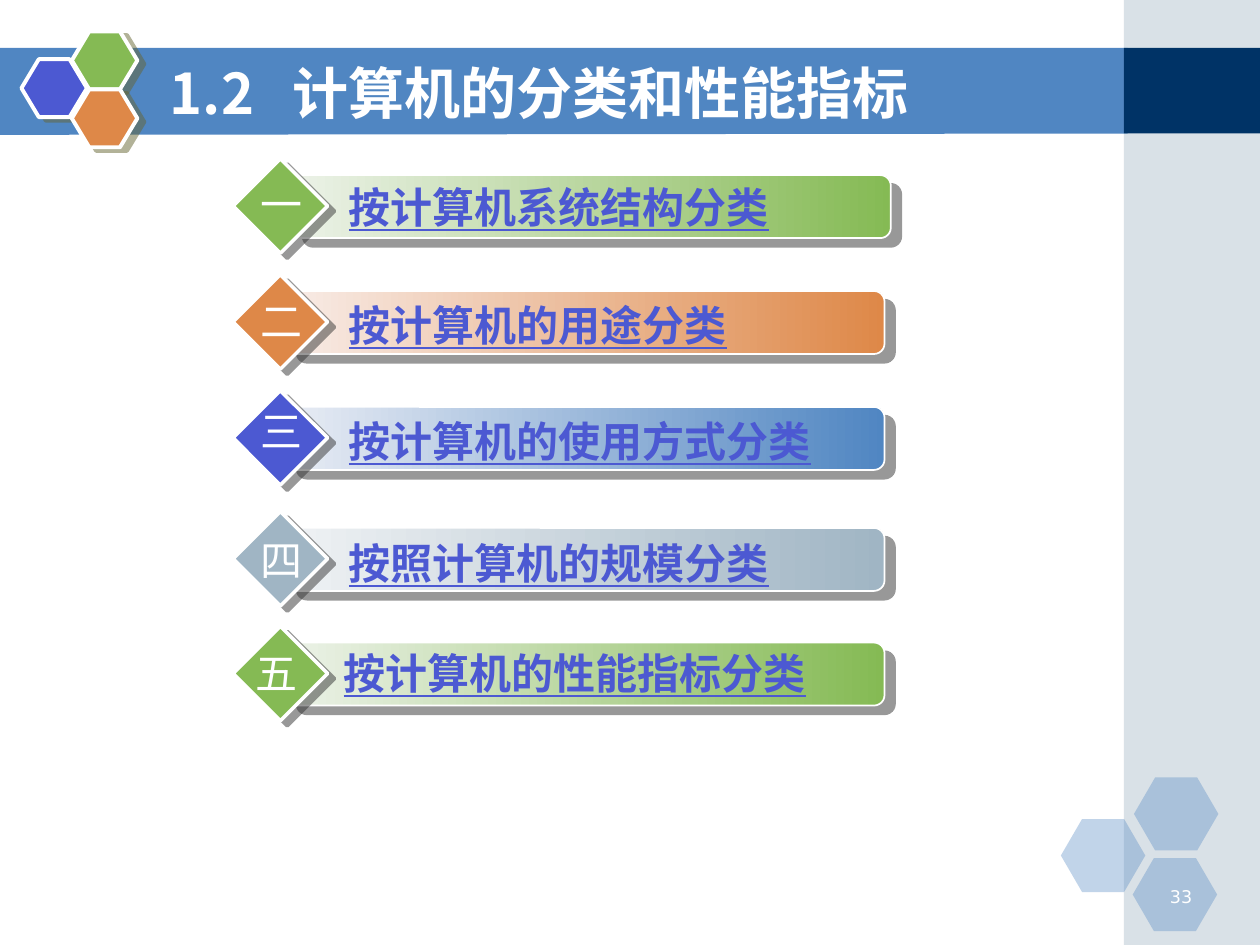
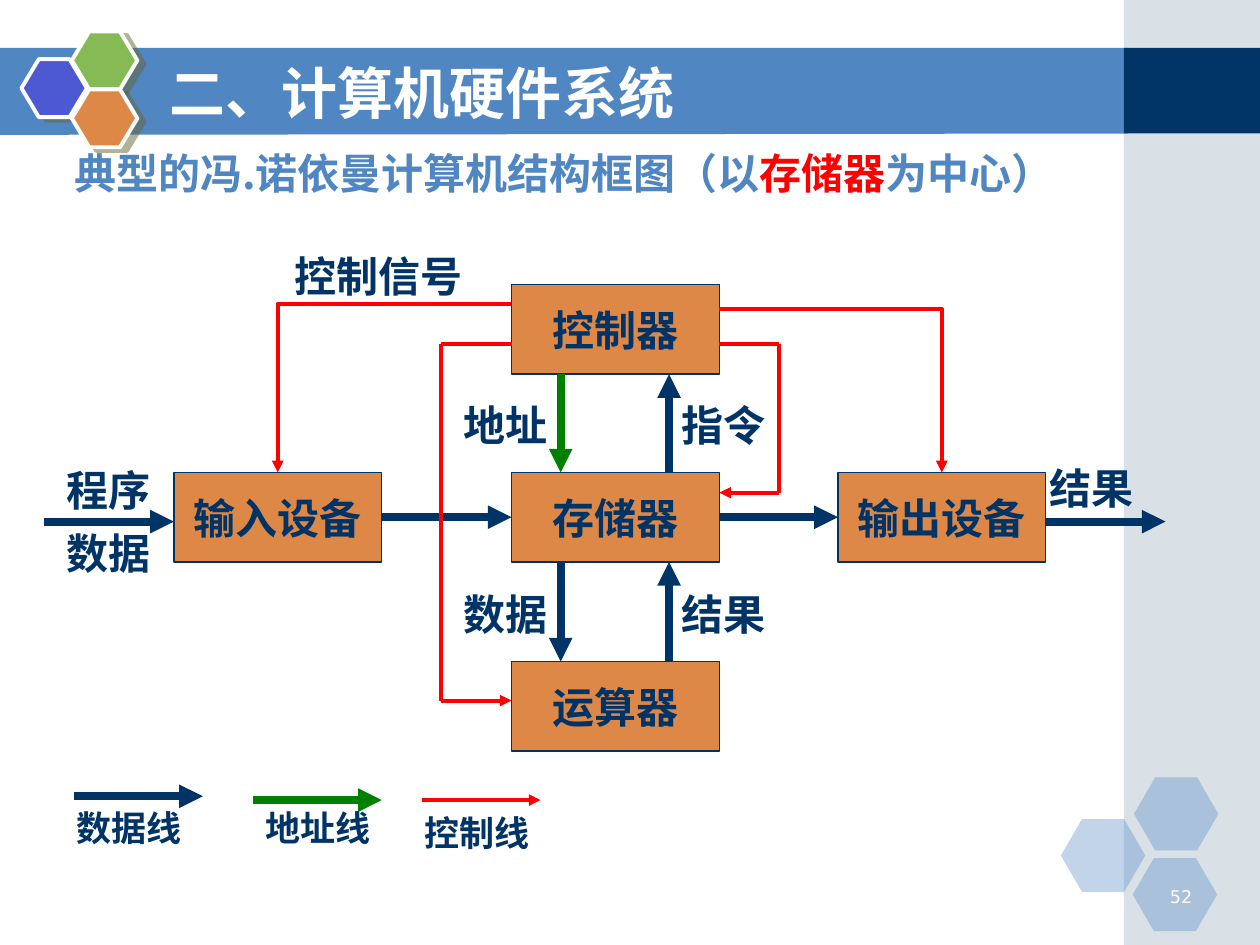
from pptx import Presentation
from pptx.dml.color import RGBColor
from pptx.enum.shapes import MSO_CONNECTOR, MSO_SHAPE
from pptx.enum.text import MSO_ANCHOR, PP_ALIGN
from pptx.oxml.ns import qn
from pptx.util import Inches, Pt
from lxml.etree import SubElement

HEX = {
    "white": "FFFFFF", "navy": "003366", "blue": "5086C2", "violet": "4C59D2",
    "green": "85BA54", "orange": "DE8848", "grey": "A0B5C4", "red": "FF0000",
    "address": "008000", "olive": "666633", "dark": "333333",
    "pale green": "ECF2E8", "pale orange": "F8ECE7",
    "pale blue": "E8ECF4", "pale grey": "EFF2F4",
}
SANS, SERIF, DIGIT = "Noto Sans CJK SC", "Times New Roman", "DejaVu Sans"
BOX_W, BOX_H = 1.65, 0.71


def rgb(name):
    return RGBColor.from_string(HEX[name])


def fade(parent, percent):
    SubElement(parent, qn("a:alpha"), val=str(percent * 1000))


def add_shape(slide, kind, at, fill, line=None, width=1, alpha=None):
    shape = slide.shapes.add_shape(kind, *map(Inches, at))
    shape.shadow.inherit = False
    paint(shape, fill, alpha)
    if line:
        shape.line.color.rgb = rgb(line)
        shape.line.width = Pt(width)
    else:
        shape.line.fill.background()
    return shape


def paint(shape, fill, alpha=None):
    """Fill with one colour, or with a left-to-right pair of colours."""
    if isinstance(fill, tuple):
        shape.fill.gradient()
        shape.fill.gradient_angle = 0
        for stop, name in zip(shape.fill.gradient_stops, fill):
            stop.color.rgb = rgb(name)
        return
    shape.fill.solid()
    shape.fill.fore_color.rgb = rgb(fill)
    if alpha:
        fade(shape.element.spPr.find(qn("a:solidFill"))[0], alpha)


def add_shade(shape, color, dist, angle):
    effects = shape.element.spPr.find(qn("a:effectLst"))
    outer = SubElement(effects, qn("a:outerShdw"), blurRad="0", dist=str(Pt(dist)),
                       dir=str(angle * 60000), algn="ctr", rotWithShape="0")
    fade(SubElement(outer, qn("a:srgbClr"), val=HEX[color]), 50)


def write(shape, parts, size, font=SANS, bold=True, align=PP_ALIGN.LEFT):
    """Fill the first paragraph with (text, colour) parts."""
    para = shape.text_frame.paragraphs[0]
    para.alignment = align
    for text, color in parts:
        run = para.add_run()
        run.text = text
        run.font.size = Pt(size)
        run.font.name = font
        run.font.bold = bold
        run.font.color.rgb = rgb(color)
        SubElement(run.font._element, qn("a:ea"), typeface=SANS)
    return para


def add_text(slide, at, parts, size, wrap=True, **style):
    box = slide.shapes.add_textbox(*map(Inches, at))
    box.text_frame.word_wrap = wrap
    return write(box, parts, size, **style)


def add_line(slide, start, end, color, width, arrow=True, bent=False):
    kind = MSO_CONNECTOR.ELBOW if bent else MSO_CONNECTOR.STRAIGHT
    line = slide.shapes.add_connector(kind, *map(Inches, start + end))
    line.line.color.rgb = rgb(color)
    line.line.width = Pt(width)
    props = line.element.spPr
    if bent:
        props.find(qn("a:prstGeom")).set("prst", "bentConnector2")
    if arrow:
        SubElement(props.find(qn("a:ln")), qn("a:tailEnd"), type="triangle")
    SubElement(props, qn("a:effectLst"))
    return line


def add_flow(slide, start, end, color="navy"):
    return add_line(slide, start, end, color, 4.5)


def add_chain(slide, points):
    """Draw a control line through the points, with an arrow at the last."""
    for start, end in zip(points, points[1:]):
        add_line(slide, start, end, "red", 2.25, arrow=end == points[-1])


def add_frame(deck, title, number):
    """Add a slide with its bands, hexagons, title and page number."""
    slide = deck.slides.add_slide(deck.slide_layouts[6])
    corners = [(-0.01, 0.38), (8.95, 0.38), (8.95, 1.06), (-0.01, 1.07)]
    first, *rest = [(Inches(x), Inches(y)) for x, y in corners]
    outline = slide.shapes.build_freeform(*first, scale=1.0)
    outline.add_line_segments(rest)
    band = outline.convert_to_shape()
    band.shadow.inherit = False
    paint(band, "blue")
    band.line.fill.background()

    add_shape(slide, MSO_SHAPE.RECTANGLE, (8.92, 0, 1.08, 7.5), "grey", alpha=40)
    add_shape(slide, MSO_SHAPE.RECTANGLE, (8.92, 0.38, 1.08, 0.68), "navy")
    for left, top in [(8.42, 6.5), (9, 6.17), (8.99, 6.81)]:
        cell = add_shape(slide, MSO_SHAPE.HEXAGON, (left, top, 0.67, 0.58),
                         "blue", alpha=35)
        cell.adjustments[0] = 0.29
    for left, top, color in [(0.17, 0.47, "violet"), (0.57, 0.25, "green"),
                             (0.57, 0.71, "orange")]:
        cell = add_shape(slide, MSO_SHAPE.HEXAGON, (left, top, 0.52, 0.46),
                         color, "white", 2.25)
        cell.adjustments[0] = 0.3
        add_shade(cell, "olive", 4.5, 27)

    add_text(slide, (9.06, 6.98, 0.5, 0.25), [(number, "white")], 10,
             font=DIGIT, bold=False, align=PP_ALIGN.RIGHT)
    head = slide.shapes.add_textbox(*map(Inches, (1.25, 0.42, 7.33, 0.62)))
    head.text_frame.word_wrap = True
    head.text_frame.vertical_anchor = MSO_ANCHOR.MIDDLE
    para = write(head, [(title, "white")], 32)
    if "\t" in title:
        tabs = SubElement(para._p.get_or_add_pPr(), qn("a:tabLst"))
        SubElement(tabs, qn("a:tab"), pos=str(Inches(0.97)), algn="l")
    return slide


def add_topic(slide, mark, text, colors, bar, tops, shift=0):
    """Add one bar with its diamond; tops are those of mark and text."""
    badge, pale, strong = colors
    left, top = bar
    strip = add_shape(slide, MSO_SHAPE.ROUNDED_RECTANGLE, (left, top, 4.75, 0.5),
                      (pale, strong), "white", 1)
    add_shade(strip, "dark", 7.8, 40)
    gem = add_shape(slide, MSO_SHAPE.DIAMOND, (1.85, top - 0.13, 0.75, 0.75),
                    badge, "white", 2)
    add_shade(gem, "dark", 5, 37)
    para = add_text(slide, (2.67 - shift, tops[1], 4.3, 0.5), [(text, "violet")], 24)
    para.runs[0].font.underline = True
    add_text(slide, (1.97 - shift, tops[0], 0.53, 0.5), [(mark, "white")], 24,
             wrap=False, bold=False)


def add_unit(slide, name, left, top):
    unit = add_shape(slide, MSO_SHAPE.RECTANGLE, (left, top, BOX_W, BOX_H),
                     "orange", "navy", 0.75)
    unit.text_frame.word_wrap = False
    unit.text_frame.vertical_anchor = MSO_ANCHOR.MIDDLE
    write(unit, [(name, "navy")], 24, font=SERIF, align=PP_ALIGN.CENTER)
    return unit


def add_label(slide, text, left, top, width=1.02, size=24):
    add_text(slide, (left, top, width, 0.5), [(text, "navy")], size, font=SERIF)


def build_topics(deck):
    slide = add_frame(deck, "1.2\t计算机的分类和性能指标", "33")
    green = ("green", "pale green", "green")
    orange = ("orange", "pale orange", "orange")
    blue = ("violet", "pale blue", "blue")
    grey = ("grey", "pale grey", "grey")
    add_topic(slide, "一", "按计算机系统结构分类", green, (2.32, 1.39), (1.37, 1.39))
    add_topic(slide, "二", "按计算机的用途分类", orange, (2.27, 2.31), (2.3, 2.33))
    add_topic(slide, "三", "按计算机的使用方式分类", blue, (2.27, 3.23), (3.17, 3.25))
    add_topic(slide, "四", "按照计算机的规模分类", grey, (2.27, 4.19), (4.19, 4.22))
    add_topic(slide, "五", "按计算机的性能指标分类", green, (2.27, 5.1), (5.09, 5.09),
              shift=0.04)


def build_diagram(deck):
    slide = add_frame(deck, "二、计算机硬件系统", "52")
    lead = add_text(slide, (0.49, 1.2, 8.14, 0.57),
                    [("典型的冯.诺依曼计算机结构框图（以", "blue"),
                     ("存储器", "red"), ("为中心）", "blue")], 24)
    lead.line_spacing = 0.8

    west, mid, east = 1.38, 4.06, 6.65
    high, row, low = 2.26, 3.75, 5.25
    right = mid + BOX_W
    source = add_unit(slide, "输入设备", west, row)
    sink = add_unit(slide, "输出设备", east, row)
    store = add_unit(slide, "存储器", mid, row)
    add_unit(slide, "控制器", mid, high)
    add_unit(slide, "运算器", mid, low)

    center = row + BOX_H / 2
    for begin, end, x1, x2 in [(source, store, west + BOX_W, mid),
                               (store, sink, right, east)]:
        flow = add_flow(slide, (x1, center), (x2, center))
        flow.begin_connect(begin, 3)
        flow.end_connect(end, 1)
    add_flow(slide, (0.35, 4.14), (west, 4.14))
    add_flow(slide, (east + BOX_W, 4.14), (9.25, 4.14))
    for top, bottom, color in [(high + BOX_H, row, "address"),
                               (row + BOX_H, low, "navy")]:
        add_flow(slide, (4.45, top), (4.45, bottom), color)
        add_flow(slide, (5.31, bottom), (5.31, top))

    add_line(slide, (right, 2.45), (east + BOX_W / 2, row), "red", 2.25, bent=True)
    add_line(slide, (mid, 2.41), (west + BOX_W / 2, row), "red", 2.25, bent=True)
    add_chain(slide, [(mid, 2.73), (3.5, 2.73), (3.5, 5.56), (mid, 5.56)])
    add_chain(slide, [(right, 2.73), (6.18, 2.73), (6.18, 3.91), (right, 3.91)])

    for text, left, top in [("程序", 0.43, 3.64), ("数据", 0.43, 4.14),
                            ("结果", 8.23, 3.62), ("数据", 3.58, 4.62),
                            ("结果", 5.31, 4.62), ("地址", 3.58, 3.12),
                            ("指令", 5.31, 3.12)]:
        add_label(slide, text, left, top)
    add_label(slide, "控制信号", 2.24, 1.94, 1.65)

    for text, left, top, start, end, y, color, width in [
            ("数据线", 0.51, 6.35, 0.59, 1.61, 6.32, "navy", 4.5),
            ("地址线", 2.01, 6.35, 2.01, 3.03, 6.35, "address", 4.5),
            ("控制线", 3.27, 6.39, 3.35, 4.29, 6.35, "red", 2.25)]:
        add_line(slide, (start, y), (end, y), color, width)
        add_label(slide, text, left, top, 1.18, 20)


def main():
    deck = Presentation()
    deck.slide_width, deck.slide_height = Inches(10), Inches(7.5)
    build_topics(deck)
    build_diagram(deck)
    deck.save("out.pptx")


if __name__ == "__main__":
    main()
